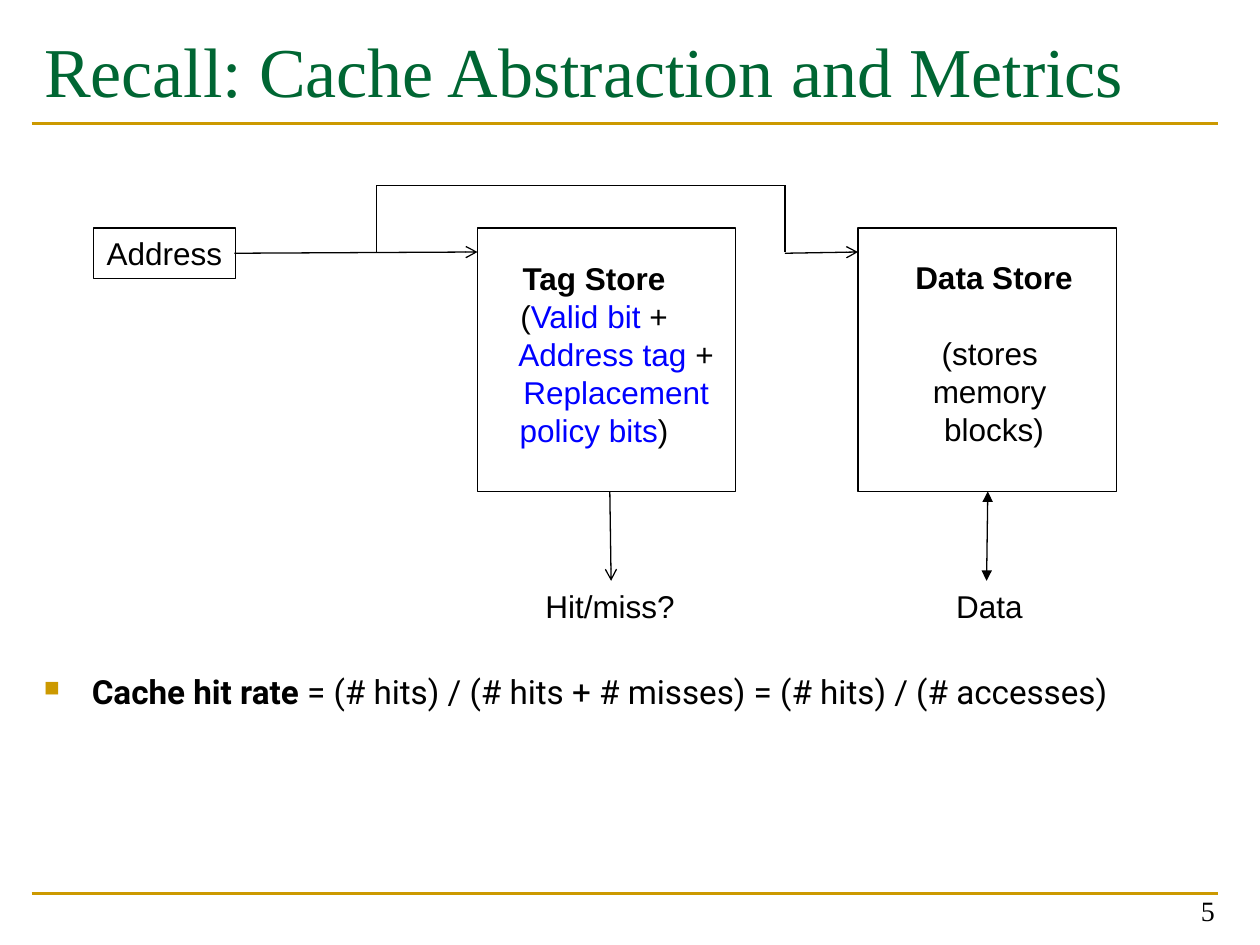
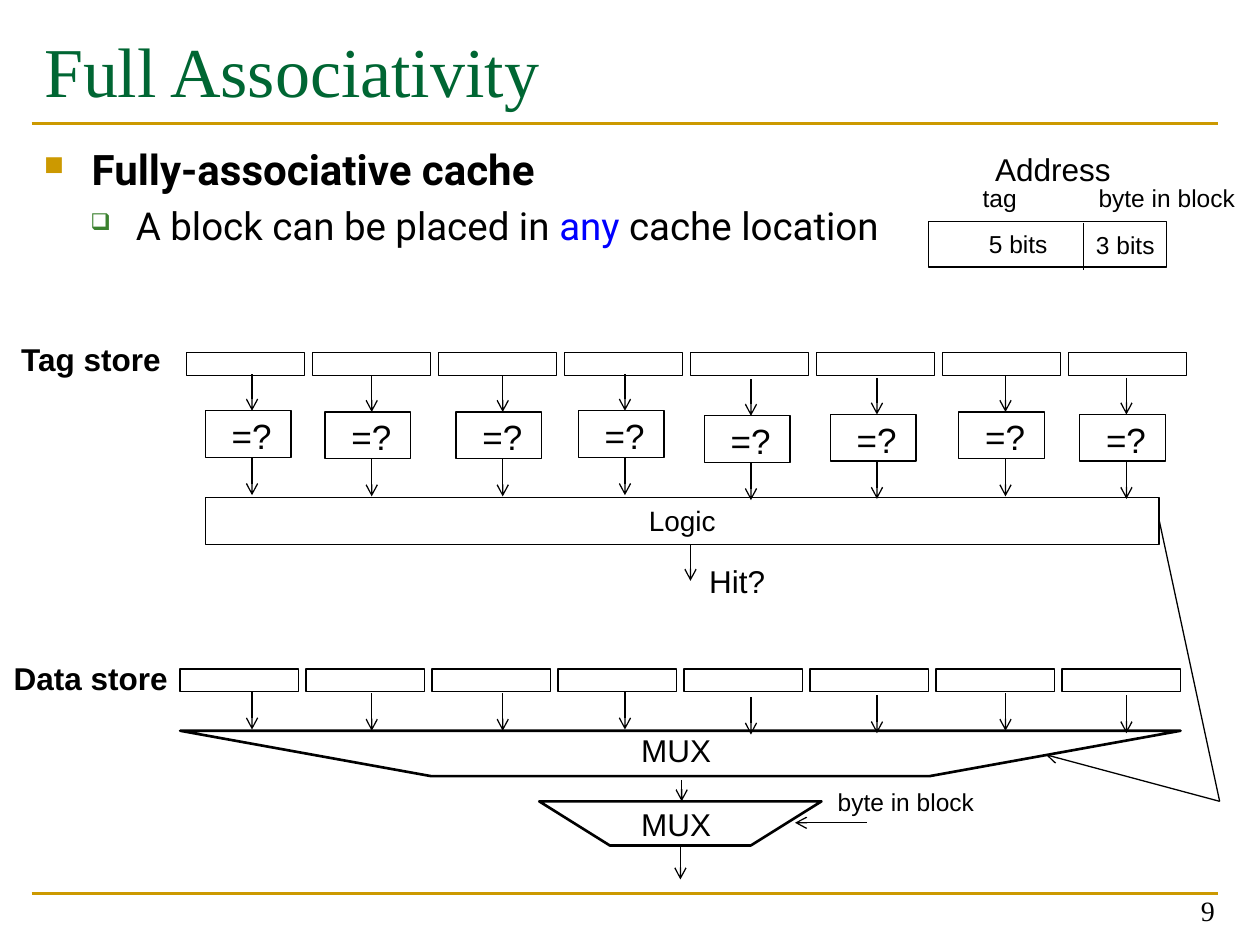
from lxml import etree
from pptx import Presentation
from pptx.dml.color import RGBColor
from pptx.enum.shapes import MSO_CONNECTOR as Connector, MSO_SHAPE as Shape
from pptx.enum.text import MSO_ANCHOR as Anchor, PP_ALIGN as Align
from pptx.oxml.ns import qn
from pptx.util import Inches, Pt

COLORS = {
    "title": "006633",
    "rule": "CC9900",
    "ink": "000000",
    "key": "0000FF",
    "sub_bullet": "3B812F",
}
TITLE_FONT, BODY_FONT, LABEL_FONT = "Times New Roman", "Roboto", "Arial"

# Centre of each lane, and how far its comparator sits below the highest one
LANES = [(2, 0), (2.95, 0.01), (3.99, 0.01), (4.96, 0),
         (5.96, 0.04), (6.96, 0.03), (7.98, 0.01), (8.94, 0.03)]


def rgb(name):
    return RGBColor.from_string(COLORS[name])


def style(font, face, size, color="ink", bold=False):
    font.name = face
    font.size = Pt(size)
    font.bold = bold
    font.color.rgb = rgb(color)


def write_spans(para, spans, face, size):
    """Fill a paragraph with spans given as (text, colour, bold)."""
    for text, color, bold in spans:
        span = para.add_run()
        span.text = text
        style(span.font, face, size, color, bold)


def text_box(page, left, top, width, height, wrap=True):
    box = page.shapes.add_textbox(Inches(left), Inches(top), Inches(width), Inches(height))
    box.text_frame.word_wrap = wrap
    return box.text_frame


def label(page, text, left, top, width, height=0.4, size=18, bold=False):
    frame = text_box(page, left, top, width, height, wrap=False)
    frame.text = text
    style(frame.paragraphs[0].runs[0].font, LABEL_FONT, size, bold=bold)


def centered_lines(frame, lines, size=18):
    """Write lines given as (spans, first-line indent, space before)."""
    for number, (spans, indent, before) in enumerate(lines):
        para = frame.add_paragraph() if number else frame.paragraphs[0]
        para.alignment = Align.CENTER
        para.space_before = Pt(before)
        para._p.get_or_add_pPr().set("indent", str(Inches(indent)))
        write_spans(para, spans, LABEL_FONT, size)


def outline(shape, width=0.75):
    shape.shadow.inherit = False
    shape.fill.background()
    shape.line.color.rgb = rgb("ink")
    shape.line.width = Pt(width)


def rectangle(page, left, top, width, height, text="", size=18, wrap=True):
    shape = page.shapes.add_shape(Shape.RECTANGLE, Inches(left), Inches(top),
                                  Inches(width), Inches(height))
    outline(shape)
    if text:
        frame = shape.text_frame
        frame.text = text
        frame.word_wrap = wrap
        frame.vertical_anchor = Anchor.TOP
        frame.paragraphs[0].alignment = Align.CENTER
        style(frame.paragraphs[0].runs[0].font, LABEL_FONT, size)


def trapezoid(page, left, top, right, bottom, inset):
    corners = [(right, top), (right - inset, bottom), (left + inset, bottom), (left, top)]
    points = [(Inches(x), Inches(y)) for x, y in corners]
    builder = page.shapes.build_freeform(*points[0])
    builder.add_line_segments(points[1:], close=True)
    outline(builder.convert_to_shape(), 1.5)


def line(page, start, end, head=None, tail=None, color="ink", width=0.75):
    x1, y1, x2, y2 = (Inches(value) for value in (*start, *end))
    connector = page.shapes.add_connector(Connector.STRAIGHT, x1, y1, x2, y2)
    connector.line.color.rgb = rgb(color)
    connector.line.width = Pt(width)
    stroke = connector.line._get_or_add_ln()
    for tag, kind in (("a:headEnd", head), ("a:tailEnd", tail)):
        if kind:
            etree.SubElement(stroke, qn(tag), type=kind)
    etree.SubElement(connector._element.spPr, qn("a:effectLst"))


def arrow(page, start, end):
    line(page, start, end, tail="arrow")


def bullet(para, char, color, percent, margin, hanging):
    props = para._p.get_or_add_pPr()
    props.set("marL", str(Inches(margin)))
    props.set("indent", str(-Inches(hanging)))
    tint = etree.SubElement(props, qn("a:buClr"))
    etree.SubElement(tint, qn("a:srgbClr"), val=COLORS[color])
    etree.SubElement(props, qn("a:buSzPct"), val=str(percent * 1000))
    etree.SubElement(props, qn("a:buChar"), char=char)


def main_bullet(para, spans, size):
    bullet(para, "■", "rule", 65, 0.38, 0.38)
    write_spans(para, spans, BODY_FONT, size)


def sub_bullet(para, spans, size):
    bullet(para, "❑", "sub_bullet", 60, 0.73, 0.36)
    para.space_before = Pt(size * 0.2)
    write_spans(para, spans, BODY_FONT, size)


def add_page(deck, title, number):
    """Add a slide with its title, two gold rules and page number."""
    page = deck.slides.add_slide(deck.slide_layouts[5])
    for y in (7.09, 0.98):
        line(page, (0.25, y), (9.67, y), color="rule", width=1.5)

    holder = page.shapes.title
    holder.left, holder.top = Inches(0.25), Inches(0.17)
    holder.width, holder.height = Inches(9.42), Inches(1.17)
    frame = holder.text_frame
    frame.text = title
    frame.vertical_anchor = Anchor.TOP
    frame.margin_top = Inches(0.05)
    frame.paragraphs[0].alignment = Align.LEFT
    style(frame.paragraphs[0].runs[0].font, TITLE_FONT, 40, "title")

    footer = text_box(page, 7.41, 6.91, 2.33, 0.5)
    footer.text = str(number)
    footer.vertical_anchor = Anchor.BOTTOM
    footer.paragraphs[0].alignment = Align.RIGHT
    style(footer.paragraphs[0].runs[0].font, TITLE_FONT, 16)
    return page


def cache_abstraction(deck):
    page = add_page(deck, "Recall: Cache Abstraction and Metrics", 5)
    formula = text_box(page, 0.25, 5.28, 9.42, 0.45)
    main_bullet(formula.paragraphs[0], [
        ("Cache hit rate ", "ink", True),
        ("= (# hits) / (# hits + # misses) = (# hits) / (# accesses)", "ink", False),
    ], 19)

    rectangle(page, 0.74, 1.81, 1.13, 0.4, "Address", wrap=False)
    for left in (3.79, 6.81):
        rectangle(page, left, 1.81, 2.05, 2.09)
    centered_lines(text_box(page, 3.45, 2.01, 2.53, 1.8), [
        ([("Tag Store", "ink", True)], 0, 0),
        ([("(", "ink", False), ("Valid bit ", "key", False), ("+", "ink", False)], 0, 0),
        ([("Address tag ", "key", False), ("+", "ink", False)], 0.35, 0),
        ([("Replacement policy bits", "key", False), (")", "ink", False)], 0.35, 0),
    ])
    centered_lines(text_box(page, 7.16, 2, 1.46, 1.62, wrap=False), [
        ([("Data Store", "ink", True)], 0, 0),
        ([("(stores ", "ink", False)], 0, 21.7),
        ([("memory ", "ink", False)], 0, 0),
        ([("blocks)", "ink", False)], 0, 0),
    ])

    arrow(page, (1.86, 2.01), (3.79, 2))
    bypass = [(2.99, 2), (2.99, 1.47), (6.23, 1.47), (6.23, 2)]
    for start, end in zip(bypass, bypass[1:]):
        line(page, start, end)
    arrow(page, (6.23, 2.01), (6.81, 2))
    arrow(page, (4.84, 3.9), (4.85, 4.61))
    line(page, (7.84, 3.9), (7.83, 4.61), head="triangle", tail="triangle")
    label(page, "Hit/miss?", 4.23, 4.61, 1.24)
    label(page, "Data", 7.49, 4.61, 0.74)


def address_fields(page):
    rectangle(page, 7.37, 1.76, 1.89, 0.36)
    line(page, (8.6, 1.77), (8.6, 2.14))
    label(page, "Address", 7.8, 1.14, 1.13)
    for text, left, top, width in (("tag", 7.7, 1.4, 0.47), ("byte in block", 8.62, 1.4, 1.29),
                                   ("5 bits", 7.75, 1.77, 0.78), ("3 bits", 8.6, 1.78, 0.67)):
        label(page, text, left, top, width, 0.34, 14)


def store_row(page, name, name_left, name_top, name_width, left, top):
    label(page, name, name_left, name_top, name_width, bold=True)
    for slot in range(len(LANES)):
        rectangle(page, left + slot, top, 0.94, 0.18)


def comparator(page, center, top):
    rectangle(page, center - 0.37, top, 0.68, 0.37)
    label(page, "=?", center - 0.26, top - 0.02, 0.52, 0.44, 20)
    arrow(page, (center, top - 0.29), (center, top))
    arrow(page, (center, top + 0.37), (center, top + 0.67))


def full_associativity(deck):
    page = add_page(deck, "Full Associativity", 9)
    body = text_box(page, 0.25, 1.09, 7.1, 0.95)
    main_bullet(body.paragraphs[0], [("Fully-associative cache", "ink", True)], 24)
    sub_bullet(body.add_paragraph(), [
        ("A block can be placed in ", "ink", False),
        ("any", "key", False),
        (" cache location", "ink", False),
    ], 22)
    address_fields(page)

    store_row(page, "Tag store", 0.07, 2.65, 1.32, 1.48, 2.8)
    store_row(page, "Data store", 0.01, 5.18, 1.44, 1.43, 5.31)
    for center, drop in LANES:
        comparator(page, center, 3.26 + drop)
        arrow(page, (center, 5.49 + drop), (center, 5.79 + drop))

    rectangle(page, 1.63, 3.95, 7.57, 0.37, "Logic", 16)
    arrow(page, (5.48, 4.32), (5.48, 4.61))
    label(page, "Hit?", 5.53, 4.41, 0.65)
    line(page, (9.2, 4.13), (9.68, 6.36))
    arrow(page, (9.68, 6.36), (8.3, 5.99))

    trapezoid(page, 1.43, 5.8, 9.37, 6.16, 1.99)
    trapezoid(page, 4.28, 6.36, 6.52, 6.71, 0.56)
    for top in (5.75, 6.34):
        label(page, "MUX", 4.99, top, 0.89)
    arrow(page, (5.41, 6.19), (5.41, 6.36))
    arrow(page, (5.4, 6.71), (5.4, 6.98))
    label(page, "byte in block", 6.55, 6.2, 1.47, 0.34, 14)
    arrow(page, (6.88, 6.53), (6.31, 6.53))


def main():
    deck = Presentation()
    deck.slide_width, deck.slide_height = Inches(10), Inches(7.5)
    cache_abstraction(deck)
    full_associativity(deck)
    deck.save("out.pptx")


if __name__ == "__main__":
    main()
